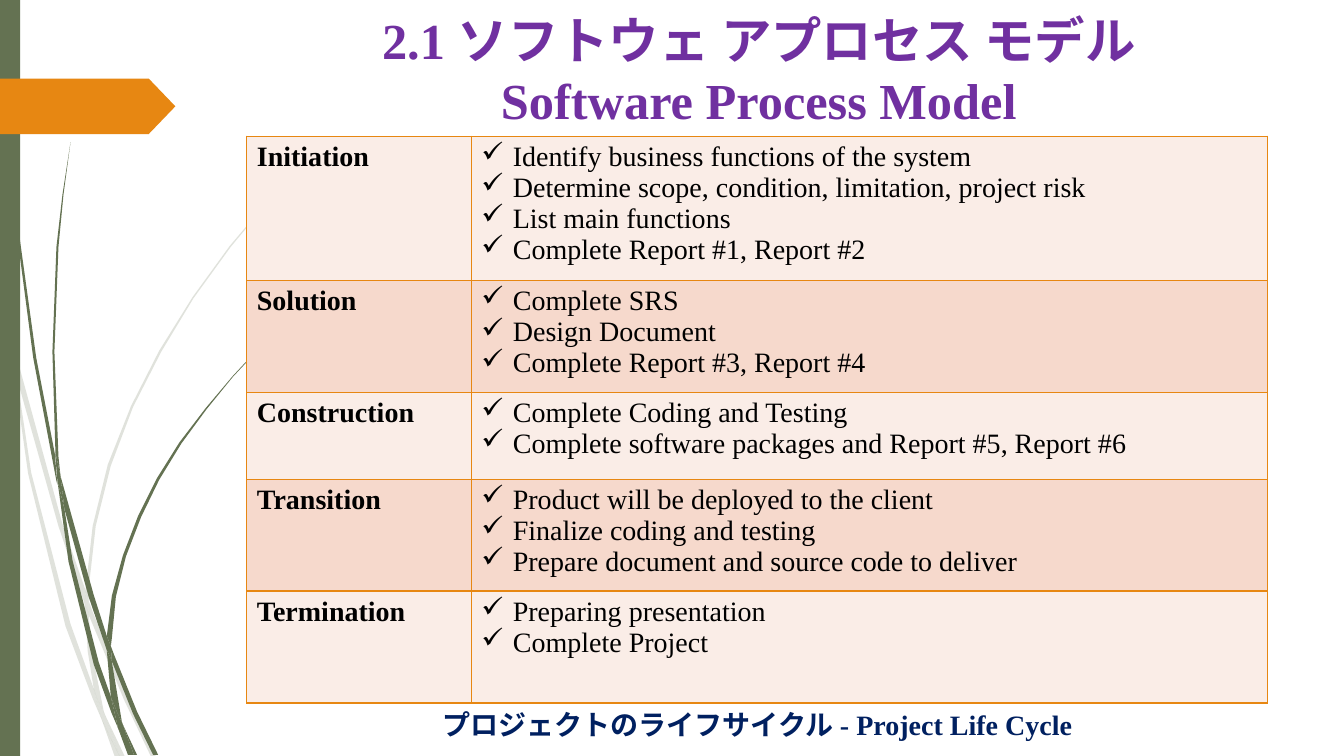
from dataclasses import dataclass

from lxml import etree
from pptx import Presentation
from pptx.dml.color import RGBColor
from pptx.enum.shapes import MSO_SHAPE
from pptx.enum.text import MSO_ANCHOR, PP_ALIGN
from pptx.oxml.ns import qn
from pptx.util import Cm, Pt

RECTANGLE, PENTAGON = MSO_SHAPE.RECTANGLE, MSO_SHAPE.PENTAGON
CENTER, TOP = PP_ALIGN.CENTER, MSO_ANCHOR.TOP
CM_PER_UNIT = 2.54  # the stalk outlines are plotted on a one-inch grid


@dataclass(frozen=True)
class Theme:
    green: str = "647252"
    orange: str = "E78712"
    purple: str = "7030A0"
    navy: str = "002060"
    black: str = "000000"
    bands: tuple[str, str] = ("FAEDE7", "F6D9CC")
    latin: str = "Times New Roman"
    japanese: str = "Noto Sans CJK SC"
    title_size: int = 36
    body_size: int = 20


@dataclass(frozen=True)
class Phase:
    name: str
    height: float
    tasks: tuple[str, ...]


@dataclass(frozen=True)
class Stalks:
    opacity: int
    outlines: tuple[str, ...]


THEME = Theme()

PHASES = (
    Phase("Initiation", 3.63, (
        "Identify business functions of the system",
        "Determine scope, condition, limitation, project risk",
        "List main functions",
        "Complete Report #1, Report #2")),
    Phase("Solution", 2.82, ("Complete SRS", "Design Document", "Complete Report #3, Report #4")),
    Phase("Construction", 2.18, (
        "Complete Coding and Testing",
        "Complete software packages and Report #5, Report #6")),
    Phase("Transition", 2.82, (
        "Product will be deployed to the client",
        "Finalize coding and testing",
        "Prepare document and source code to deliver")),
    Phase("Termination", 2.82, ("Preparing presentation", "Complete Project")),
)

# Corner points of every stalk piece
PALE_STALKS = Stalks(20, (
    "0.11,3.5 0.09,3.22 0,2.82 0,2.99 0.1,3.44",
    "0.58,5.22 0.84,5.99 0.85,5.86 0.62,5.2 0.14,3.45 0.17,3.76",
    "0.92,6.07 0.88,5.96 0.88,6.1 1.23,6.94 1.5,7.51 1.55,7.51 1.27,6.92",
    "1.19,7.51 1.24,7.51 1.05,7.11",
    "0.93,6.83 0.7,6.19 0.31,4.69 0.17,3.76 0.11,3.5 0.28,4.7 0.65,6.21 0.92,6.93 1.01,7.14 0.99,7.07",
    "0.84,5.99 0.87,6.46 0.93,6.83 0.96,6.92 1.05,7.11 1.03,7.06 0.91,6.46 0.88,6.1 0.88,6.08",
    "0.88,5.84 0.95,5.22 1.1,4.62 1.32,4.04 1.6,3.49 1.92,2.96 2.29,2.45 2.68,1.98 2.9,1.75 3.12,1.54 "
    "3.12,1.53 2.89,1.75 2.68,1.97 2.28,2.44 1.91,2.95 1.58,3.48 1.3,4.03 1.07,4.61 0.92,5.22 "
    "0.85,5.84 0.85,5.86 0.88,5.96",
    "1.01,7.14 1.14,7.51 1.19,7.51",
    "0.88,6.08 0.88,6.1 0.88,5.96 0.85,5.86 0.84,5.99",
    "0.96,6.92 0.93,6.83 0.99,7.07 1.01,7.14 1.19,7.51 1.05,7.11",
))
DARK_STALKS = Stalks(100, (
    "0.07,1.1 0.17,2.33 0.33,3.55 0.56,4.77 0.57,4.81 0.55,4.57 0.55,4.53 0.36,3.55 0.19,2.32 "
    "0.08,1.09 0.05,0.48 0.04,0 0.03,0 0.04,0.48",
    "0.88,5.92 1.06,6.45 1.06,6.33 1.06,6.31 0.93,5.9 0.6,4.72 0.64,5.05",
    "1.13,6.49 1.1,6.41 1.11,6.56 1.32,7.08 1.52,7.49 1.57,7.49 1.36,7.06",
    "1.1,6.91 0.98,6.57 0.72,5.56 0.64,5.05 0.57,4.77 0.68,5.57 0.93,6.59 1.11,7.08 1.17,7.22 1.16,7.17",
    "0.6,4.72 0.58,4.53 0.54,3.49 0.58,2.45 0.63,1.93 0.7,1.41 0.62,1.93 0.56,2.45 0.52,3.49 0.55,4.49",
    "1.33,7.49 1.36,7.49 1.22,7.19",
    "0.57,4.77 0.64,5.05 0.6,4.72 0.55,4.49 0.55,4.53",
    "1.11,6.33 1.15,5.92 1.25,5.52 1.4,5.13 1.58,4.76 1.8,4.4 2.05,4.06 2.31,3.74 2.45,3.59 2.61,3.44 "
    "2.6,3.44 2.45,3.58 2.31,3.73 2.04,4.05 1.78,4.39 1.56,4.74 1.37,5.12 1.22,5.51 1.11,5.91 "
    "1.06,6.31 1.1,6.41",
    "1.17,7.22 1.27,7.49 1.31,7.49",
    "1.06,6.45 1.1,6.91 1.16,7.06 1.22,7.19 1.21,7.16 1.11,6.56 1.09,6.51",
    "1.06,6.45 1.09,6.51 1.11,6.56 1.1,6.41 1.06,6.31 1.06,6.33",
    "1.16,7.06 1.1,6.91 1.16,7.17 1.17,7.22 1.3,7.49 1.33,7.49 1.22,7.19",
))


def paint(shape, color: str) -> None:
    shape.shadow.inherit = False
    shape.fill.solid()
    shape.fill.fore_color.rgb = RGBColor.from_string(color)
    shape.line.fill.background()


def draw_stalks(page, stalks: Stalks) -> None:
    group = page.shapes.add_group_shape()
    for outline in stalks.outlines:
        start, *rest = [
            tuple(Cm(float(number) * CM_PER_UNIT) for number in pair.split(","))
            for pair in outline.split()]
        builder = group.shapes.build_freeform(*start)
        builder.add_line_segments(rest, close=True)
        stalk = builder.convert_to_shape()
        paint(stalk, THEME.green)
        if stalks.opacity < 100:
            tint = stalk._element.spPr.find(qn("a:solidFill")).find(qn("a:srgbClr"))
            etree.SubElement(tint, qn("a:alpha"), val=str(stalks.opacity * 1000))


def write(para, text: str, size: int, color: str, bold: bool, font: str = THEME.latin) -> None:
    span = para.add_run()
    span.text = text
    for key, value in {"size": Pt(size), "bold": bold, "name": font}.items():
        setattr(span.font, key, value)
    span.font.color.rgb = RGBColor.from_string(color)
    etree.SubElement(span._r.get_or_add_rPr(), qn("a:ea"), typeface=font)


def add_box(page, left: float, top: float, width: float, height: float):
    frame = page.shapes.add_textbox(Cm(left), Cm(top), Cm(width), Cm(height)).text_frame
    for key, value in {"word_wrap": True, "vertical_anchor": TOP, "margin_top": 0}.items():
        setattr(frame, key, value)
    frame.paragraphs[0].alignment = CENTER
    return frame


def style_cell(cell, color: str) -> None:
    props = cell._tc.get_or_add_tcPr()
    for side in ("a:lnL", "a:lnR", "a:lnT", "a:lnB"):
        border = etree.SubElement(props, qn(side), w=str(Pt(1)))
        etree.SubElement(etree.SubElement(border, qn("a:solidFill")), qn("a:srgbClr"), val=THEME.orange)
    cell.fill.solid()
    cell.fill.fore_color.rgb = RGBColor.from_string(color)


def draw_phases(page) -> None:
    height = sum(phase.height for phase in PHASES)
    table = page.shapes.add_table(len(PHASES), 2, Cm(6.22), Cm(3.43), Cm(25.73), Cm(height)).table
    table.first_row = table.horz_banding = False
    for column, width in zip(table.columns, (5.66, 20.07)):
        column.width = Cm(width)
    for index, phase in enumerate(PHASES):
        table.rows[index].height = Cm(phase.height)
        name_cell, task_cell = table.rows[index].cells
        for cell in (name_cell, task_cell):
            style_cell(cell, THEME.bands[index % 2])
        write(name_cell.text_frame.paragraphs[0], phase.name, THEME.body_size, THEME.black, True)
        frame = task_cell.text_frame
        for number, task in enumerate(phase.tasks):
            para = frame.add_paragraph() if number else frame.paragraphs[0]
            props = para._p.get_or_add_pPr()
            for key, value in {"marL": Cm(0.79), "indent": -Cm(0.79)}.items():
                props.set(key, str(value))
            etree.SubElement(props, qn("a:buChar"), char="✓")
            write(para, task, THEME.body_size, THEME.black, False)


def main() -> None:
    deck = Presentation()
    deck.slide_width, deck.slide_height = Cm(33.87), Cm(19.05)
    page = deck.slides.add_slide(deck.slide_layouts[6])
    # Stalks, side bar and page tag
    for stalks in (PALE_STALKS, DARK_STALKS):
        draw_stalks(page, stalks)
    paint(page.shapes.add_shape(RECTANGLE, 0, 0, Cm(0.51), Cm(19.05)), THEME.green)
    tag = page.shapes.add_shape(PENTAGON, 0, Cm(1.98), Cm(4.42), Cm(1.4))
    tag.adjustments[0] = 0.48
    paint(tag, THEME.orange)
    # Title, with its first line set a little to the left
    title = add_box(page, 7.21, 0.23, 24.77, 3.56)
    heading, subtitle = title.paragraphs[0], title.add_paragraph()
    heading._p.get_or_add_pPr().set("marR", str(Cm(0.94)))
    subtitle.alignment = CENTER
    look = (THEME.title_size, THEME.purple, True)
    write(heading, "2.1 ", *look)
    write(heading, "ソフトウェ アプロセス モデル", *look, THEME.japanese)
    write(subtitle, "Software Process Model", *look)
    # Table and footer
    draw_phases(page)
    footer = add_box(page, 8.33, 17.83, 21.51, 1.12).paragraphs[0]
    look = (THEME.body_size, THEME.navy, True)
    write(footer, "プロジェクトのライフサイクル ", *look, THEME.japanese)
    write(footer, "- Project Life Cycle", *look)
    deck.save("out.pptx")


if __name__ == "__main__":
    main()
